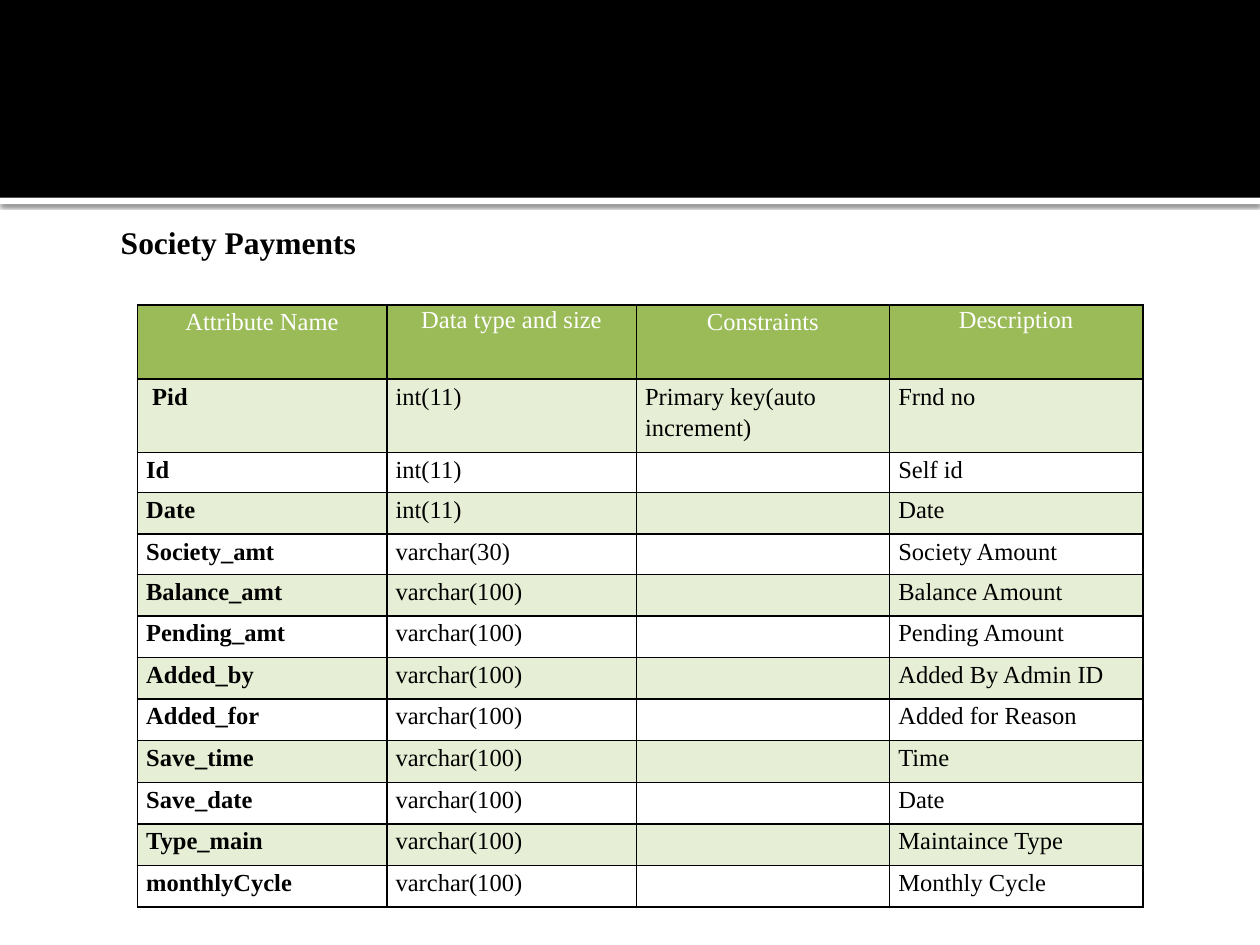
from dataclasses import dataclass

from lxml import etree
from pptx import Presentation
from pptx.dml.color import RGBColor
from pptx.enum.shapes import MSO_SHAPE
from pptx.enum.text import MSO_AUTO_SIZE, PP_ALIGN
from pptx.oxml import parse_xml
from pptx.oxml.ns import nsdecls, qn
from pptx.util import Inches, Pt

RECT = MSO_SHAPE.RECTANGLE
CENTER, LEFT = PP_ALIGN.CENTER, PP_ALIGN.LEFT
GROW = MSO_AUTO_SIZE.SHAPE_TO_FIT_TEXT


@dataclass(frozen=True)
class Theme:
    face: str = "Times New Roman"
    ink: str = "000000"
    paper: str = "FFFFFF"
    head: str = "9BBB59"
    band: str = "E6EED5"
    title: int = 18
    body: int = 14
    line: int = 1


THEME = Theme()
HEADS = ["Attribute Name", "Data type and size", "Constraints", "Description"]
ROWS = [
    (" Pid", "int(11)", "Primary key(auto increment)", "Frnd no"),
    ("Id", "int(11)", "", "Self id"),
    ("Date", "int(11)", "", "Date"),
    ("Society_amt", "varchar(30)", "", "Society Amount"),
    ("Balance_amt", "varchar(100)", "", "Balance Amount"),
    ("Pending_amt", "varchar(100)", "", "Pending Amount"),
    ("Added_by", "varchar(100)", "", "Added By Admin ID"),
    ("Added_for", "varchar(100)", "", "Added for Reason"),
    ("Save_time", "varchar(100)", "", "Time"),
    ("Save_date", "varchar(100)", "", "Date"),
    ("Type_main", "varchar(100)", "", "Maintaince Type"),
    ("monthlyCycle", "varchar(100)", "", "Monthly Cycle"),
]
WIDTHS = [1.98, 1.98, 2.01, 2.01]
HEIGHTS = [0.59, 0.58, 0.32, 0.33, 0.32] + [0.33] * 8


def style(para, size, color, bold=False):
    font = para.font
    font.name = THEME.face
    font.size = Pt(size)
    font.bold = bold
    font.color.rgb = RGBColor.from_string(color)


def add_bar(slide, top, height, color):
    bar = slide.shapes.add_shape(
        RECT, 0, Inches(top), Inches(10), Inches(height))
    bar.shadow.inherit = False
    bar.fill.solid()
    bar.fill.fore_color.rgb = RGBColor.from_string(color)
    bar.line.fill.background()
    return bar


def add_shade(shape):
    effects = shape._element.spPr.find(qn("a:effectLst"))
    effects.append(parse_xml(
        f'<a:outerShdw {nsdecls("a")} blurRad="{Pt(2.5)}" dist="{Pt(0.8)}" '
        f'dir="5400000" algn="tl" rotWithShape="0">'
        f'<a:srgbClr val="{THEME.ink}"><a:alpha val="60000"/></a:srgbClr>'
        f'</a:outerShdw>'))


def add_title(slide, text):
    box = slide.shapes.add_textbox(
        Inches(0.86), Inches(1.72), Inches(2.19), Inches(0.4))
    frame = box.text_frame
    frame.word_wrap = True
    frame.auto_size = GROW
    para = frame.paragraphs[0]
    para.text = text
    style(para, THEME.title, THEME.ink, True)


def add_edges(cell):
    props = cell._tc.get_or_add_tcPr()
    for spot, side in enumerate(("lnL", "lnR", "lnT", "lnB")):
        edge = etree.Element(qn(f"a:{side}"), w=str(Pt(THEME.line)))
        fill = etree.SubElement(edge, qn("a:solidFill"))
        etree.SubElement(fill, qn("a:srgbClr"), val=THEME.ink)
        props.insert(spot, edge)


def fill_cell(cell, text, row, col):
    cell.margin_left = cell.margin_right = Inches(0.07)
    cell.margin_top = cell.margin_bottom = 0
    if row % 2 or row == 0:
        cell.fill.solid()
        shade = THEME.band if row else THEME.head
        cell.fill.fore_color.rgb = RGBColor.from_string(shade)
    else:
        cell.fill.background()
    add_edges(cell)
    if not text:
        return
    para = cell.text_frame.paragraphs[0]
    para.text = text
    tight = row == 0 and col % 2 == 1
    para.alignment = LEFT if row else CENTER
    para.line_spacing = 1.07 if tight else 1.15
    para.space_after = Pt(8 if tight else 10)
    style(para, THEME.body, THEME.ink if row else THEME.paper,
          row > 0 and col == 0)


def add_grid(slide):
    data = [HEADS, *ROWS]
    grid = slide.shapes.add_table(
        len(data), len(HEADS), Inches(1.09), Inches(2.42),
        Inches(sum(WIDTHS)), Inches(sum(HEIGHTS))).table
    grid.horz_banding = False
    for col, width in zip(grid.columns, WIDTHS):
        col.width = Inches(width)
    for row, height in zip(grid.rows, HEIGHTS):
        row.height = Inches(height)
    for row, texts in enumerate(data):
        for col, text in enumerate(texts):
            fill_cell(grid.cell(row, col), text, row, col)


def main():
    deck = Presentation()
    deck.slide_width = Inches(10)
    deck.slide_height = Inches(7.5)
    slide = deck.slides.add_slide(deck.slide_layouts[6])
    add_shade(add_bar(slide, 1.57, 0.05, THEME.paper))
    add_bar(slide, 0, 1.57, THEME.ink)
    add_title(slide, "Society Payments")
    add_grid(slide)
    deck.save("out.pptx")


if __name__ == "__main__":
    main()
